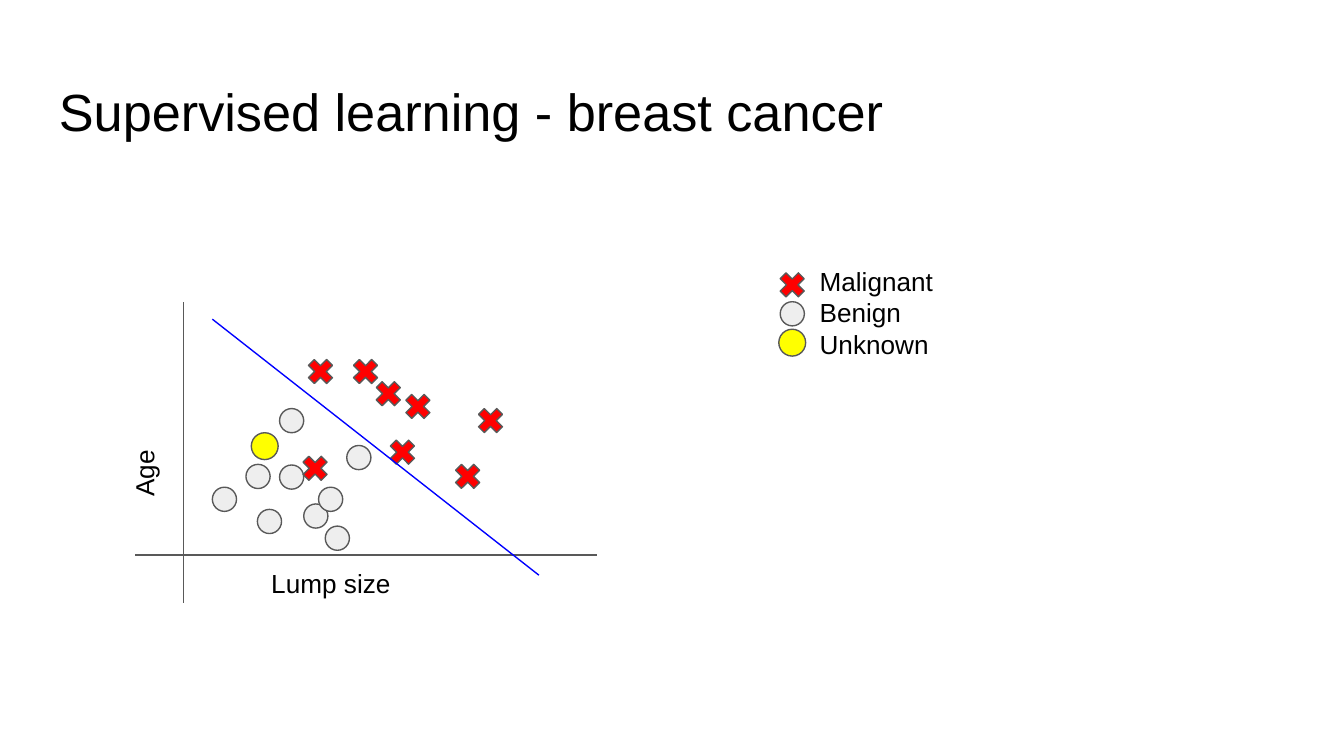
"""Build a slide showing a supervised learning scatter sketch with its legend."""
from typing import NamedTuple

import pptx
import pptx.dml.color
import pptx.enum.shapes
import pptx.enum.text
import pptx.oxml
import pptx.oxml.ns
import pptx.util

EMU_PER_PX = 4572
COLORS = {
    "ink": "000000",
    "outline": "595959",
    "benign": "EEEEEE",
    "malignant": "FF0000",
    "unknown": "FFFF00",
    "boundary": "0000FF",
}
SHAPES = pptx.enum.shapes.MSO_SHAPE


class Kind(NamedTuple):
    shape: int
    size: int
    color: str


class Marker(NamedTuple):
    kind: Kind
    x: int
    y: int


class Segment(NamedTuple):
    x1: int
    y1: int
    x2: int
    y2: int
    color: str


BENIGN = Kind(SHAPES.OVAL, 36, "benign")
MALIGNANT = Kind(SHAPES.MATH_MULTIPLY, 52, "malignant")
UNKNOWN = Kind(SHAPES.FLOWCHART_CONNECTOR, 40, "unknown")

AXES = [
    Segment(273, 450, 273, 897, "outline"),
    Segment(201, 826, 888, 826, "outline"),
]
BOUNDARY = Segment(316, 475, 802, 856, "boundary")
BENIGN_AT = [(316, 725), (452, 750), (366, 691), (416, 692), (484, 783),
             (474, 725), (416, 608), (516, 663), (383, 758)]
MALIGNANT_AT = [(518, 527), (552, 560), (596, 579), (451, 527),
                (573, 647), (670, 683), (443, 671), (704, 600)]
SAMPLES = [Marker(BENIGN, x, y) for x, y in BENIGN_AT]
SAMPLES += [Marker(MALIGNANT, x, y) for x, y in MALIGNANT_AT]
SAMPLES.append(Marker(UNKNOWN, 374, 644))
LEGEND = [
    Marker(MALIGNANT, 153 + 1000, 398),
    Marker(BENIGN, 1161, 449),
    Marker(UNKNOWN, 1159, 490),
]


def px(n: int) -> pptx.util.Emu:
    return pptx.util.Emu(n * EMU_PER_PX)


def rgb(name: str) -> pptx.dml.color.RGBColor:
    return pptx.dml.color.RGBColor.from_string(COLORS[name])


def add_marker(s, m: Marker) -> None:
    sp = s.shapes.add_shape(m.kind.shape, px(m.x), px(m.y), px(m.kind.size), px(m.kind.size))
    sp.shadow.inherit = False
    sp.fill.solid()
    sp.fill.fore_color.rgb = rgb(m.kind.color)
    sp.line.color.rgb = rgb("outline")
    sp.line.width = pptx.util.Pt(0.75)


def add_segment(s, seg: Segment) -> None:
    cx = s.shapes.add_connector(
        pptx.enum.shapes.MSO_CONNECTOR.STRAIGHT,
        px(seg.x1), px(seg.y1), px(seg.x2), px(seg.y2),
    )
    cx.line.color.rgb = rgb(seg.color)
    cx.line.width = pptx.util.Pt(0.75)
    effects = pptx.oxml.parse_xml(f"<a:effectLst {pptx.oxml.ns.nsdecls('a')}/>")
    cx.element.spPr.append(effects)


def add_text(s, text: str, *, x: int, y: int, w: int, h: int,
             size: int = 14, rotation: int = 0) -> None:
    sp = s.shapes.add_textbox(px(x), px(y), px(w), px(h))
    sp.rotation = rotation
    tf = sp.text_frame
    tf.word_wrap = True
    tf.vertical_anchor = pptx.enum.text.MSO_ANCHOR.TOP
    tf.margin_left = tf.margin_right = tf.margin_top = tf.margin_bottom = px(20)
    tf.text = text
    for p in tf.paragraphs:
        for r in p.runs:
            r.font.name = "Arial"
            r.font.size = pptx.util.Pt(size)
            r.font.color.rgb = rgb("ink")


def main() -> None:
    prs = pptx.Presentation()
    prs.slide_width, prs.slide_height = px(2000), px(1125)
    s = prs.slides.add_slide(prs.slide_layouts[6])

    add_text(s, "Supervised learning - breast cancer", x=68, y=98, w=1864, h=126, size=28)
    for axis in AXES:
        add_segment(s, axis)
    for sample in SAMPLES:
        add_marker(s, sample)
    add_text(s, "Lump size", x=384, y=825, w=968, h=114)
    add_text(s, "Age", x=142, y=616, w=172, h=114, rotation=270)
    for key in LEGEND:
        add_marker(s, key)
    add_text(s, "Malignant\nBenign\nUnknown", x=1200, y=375, w=968, h=194)
    add_segment(s, BOUNDARY)

    prs.save("out.pptx")


if __name__ == "__main__":
    main()
